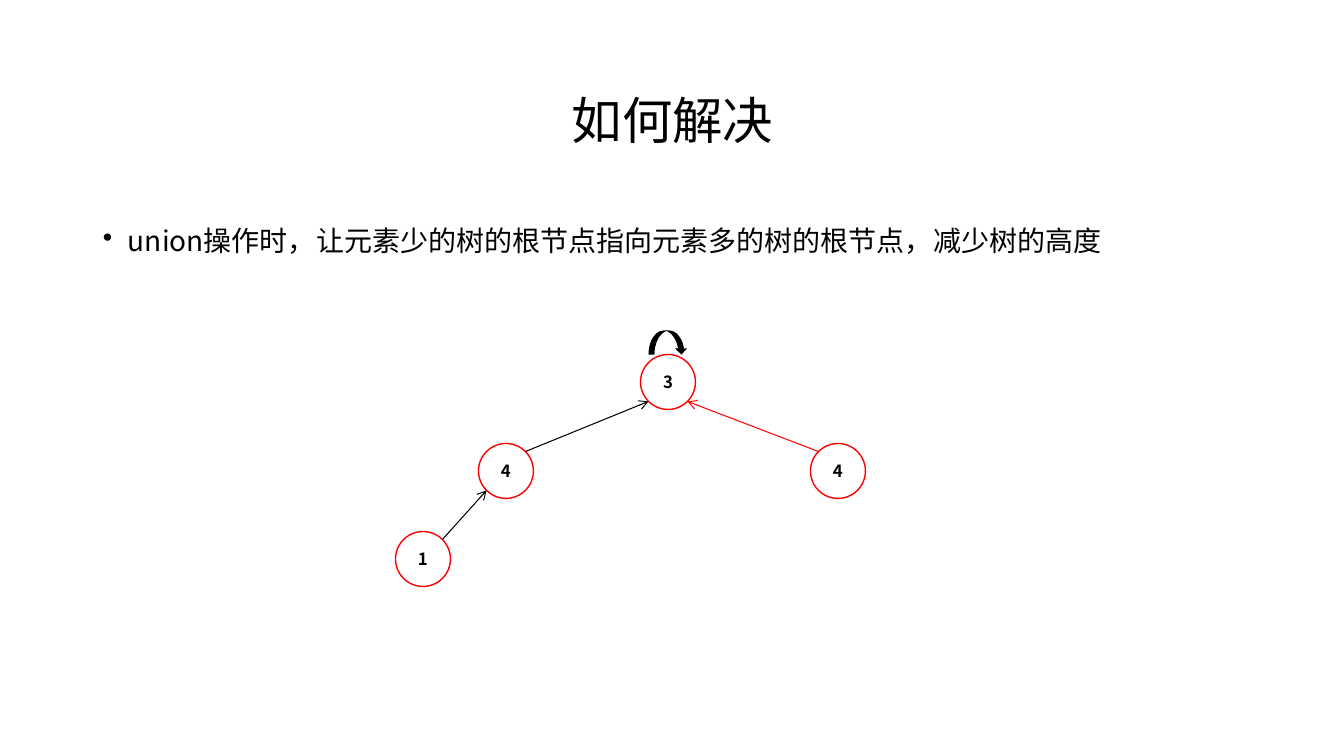
from dataclasses import dataclass
from math import sqrt

from lxml import etree
from pptx import Presentation
from pptx.dml.color import RGBColor
from pptx.enum import shapes, text
from pptx.oxml.ns import qn
from pptx.util import Emu, Pt

SCALE = 914400 / 100.8
FONT = "Noto Sans CJK SC"
COLORS = {"black": "000000", "red": "FF0000"}
SIZE = 55


@dataclass
class Node:
    label: str
    x: int
    y: int


@dataclass
class Edge:
    child: Node
    parent: Node
    color: str


def px(n: float) -> Emu:
    return Emu(round(n * SCALE))


def rgb(name: str) -> RGBColor:
    return RGBColor.from_string(COLORS[name])


def write(frame, words: str, size: int, align, bold: bool = False):
    frame.word_wrap = True
    para = frame.paragraphs[0]
    para.text = words
    para.alignment = align
    font = para.font
    font.size, font.bold, font.name = Pt(size), bold, FONT
    font.color.rgb = rgb("black")
    props = para._p.pPr.find(qn("a:defRPr"))
    etree.SubElement(props, qn("a:ea"), typeface=FONT)
    return para


def add_bullet(para) -> None:
    props = para._p.pPr
    props.set("marL", str(px(25)))
    props.set("indent", str(-px(25)))
    mark = etree.Element(qn("a:buChar"), char="•")
    props.find(qn("a:defRPr")).addprevious(mark)


def draw_node(slide, node: Node) -> None:
    half = SIZE / 2
    oval = slide.shapes.add_shape(
        shapes.MSO_SHAPE.OVAL, px(node.x - half), px(node.y - half), px(SIZE), px(SIZE))
    oval.shadow.inherit = False
    oval.fill.background()
    oval.line.color.rgb = rgb("red")
    oval.line.width = Pt(1)
    oval.text_frame.vertical_anchor = text.MSO_ANCHOR.MIDDLE
    write(oval.text_frame, node.label, 12, text.PP_ALIGN.CENTER, True)


def draw_edge(slide, edge: Edge) -> None:
    child, parent = edge.child, edge.parent
    reach = SIZE / 2 / sqrt(2)
    side = reach if parent.x > child.x else -reach
    link = slide.shapes.add_connector(
        shapes.MSO_CONNECTOR.STRAIGHT,
        px(child.x + side), px(child.y - reach),
        px(parent.x - side), px(parent.y + reach))
    link.line.color.rgb = rgb(edge.color)
    link.line.width = Pt(0.75)
    etree.SubElement(link.line._get_or_add_ln(), qn("a:tailEnd"), type="arrow")
    etree.SubElement(link._element.spPr, qn("a:effectLst"))


def draw_loop(slide, node: Node) -> None:
    wide, high = 39, 24
    loop = slide.shapes.add_shape(
        shapes.MSO_SHAPE.CURVED_DOWN_ARROW,
        px(node.x - wide / 2), px(node.y - SIZE / 2 - high), px(wide), px(high))
    loop.shadow.inherit = False
    loop.fill.solid()
    loop.fill.fore_color.rgb = rgb("black")
    loop.line.fill.background()


deck = Presentation()
deck.slide_width, deck.slide_height = px(1344), px(756)
slide = deck.slides.add_slide(deck.slide_layouts[5])

title = slide.shapes.title
title.left, title.top, title.width, title.height = px(93), px(40), px(1159), px(146)
title.text_frame.vertical_anchor = text.MSO_ANCHOR.MIDDLE
head = write(title.text_frame, "如何解决", 36, text.PP_ALIGN.CENTER)
head.line_spacing = 1.2

body = slide.shapes.add_textbox(px(93), px(202), px(1159), px(514))
point = write(body.text_frame, "union操作时，让元素少的树的根节点指向元素多的树的根节点，减少树的高度",
              20, text.PP_ALIGN.LEFT)
point.line_spacing = 1.5
point.space_before = Pt(10)
add_bullet(point)

root = Node("3", 668, 382)
left = Node("4", 506, 471)
right = Node("4", 838, 471)
leaf = Node("1", 423, 559)
for node in (root, left, right, leaf):
    draw_node(slide, node)
for edge in (Edge(left, root, "black"), Edge(leaf, left, "black"), Edge(right, root, "red")):
    draw_edge(slide, edge)
draw_loop(slide, root)

deck.save("out.pptx")
